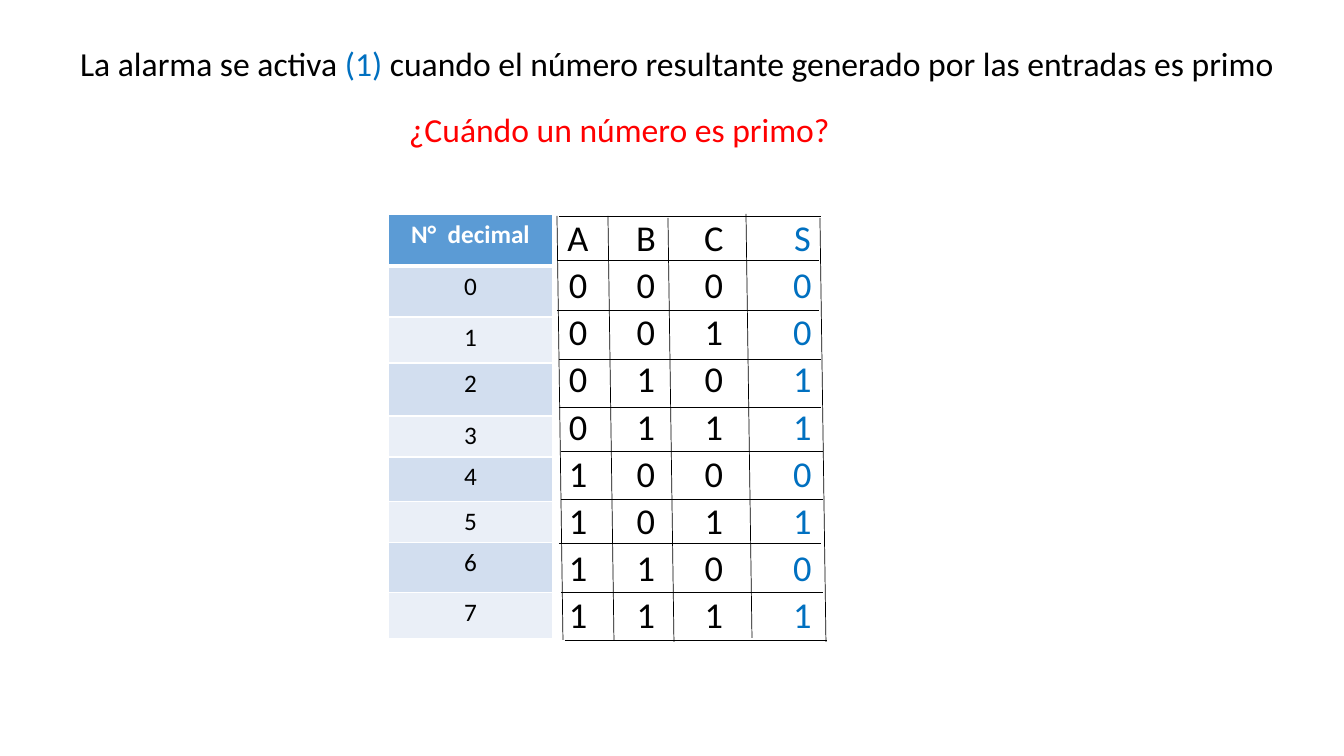
"""Build the slide with the truth table of the prime number alarm."""
from lxml.etree import SubElement
from pptx import Presentation
from pptx.dml.color import RGBColor
from pptx.enum.shapes import MSO_CONNECTOR as Connector
from pptx.enum.text import MSO_ANCHOR as Anchor, MSO_AUTO_SIZE as AutoSize, PP_ALIGN as Align
from pptx.oxml.ns import qn
from pptx.util import Emu, Pt

BLACK = RGBColor(0x00, 0x00, 0x00)
WHITE = RGBColor(0xFF, 0xFF, 0xFF)
RED = RGBColor(0xFF, 0x00, 0x00)
BLUE = RGBColor(0x00, 0x70, 0xC0)
HEADER = RGBColor(0x5B, 0x9B, 0xD5)
BAND_DARK = RGBColor(0xD2, 0xDE, 0xEF)
BAND_LIGHT = RGBColor(0xEA, 0xEF, 0xF7)

STATEMENT = [
    ("La alarma se activa ", BLACK),
    ("(1) ", BLUE),
    ("cuando el número resultante generado por las entradas es primo", BLACK),
]
QUESTION = [("¿Cuándo un número es primo?", RED)]
DECIMALS = ["N°  decimal", "0", "1", "2", "3", "4", "5", "6", "7"]
TRUTH = ["ABCS", "0000", "0010", "0101", "0111", "1000", "1011", "1100", "1111"]

TABLE_TOP, TABLE_HEIGHT = 214, 425
DECIMAL_LEFT, DECIMAL_WIDTH = 388, 165
DECIMAL_HEIGHTS = [52, 51, 46, 53, 41, 45, 41, 50, 46]
TRUTH_LEFT, TRUTH_WIDTHS = 544, [68, 68, 68, 109]
ROW_LINES = [(559, 216), (557, 260), (557, 310), (559, 359), (559, 407),
             (561, 451), (561, 499), (559, 543), (561, 592), (565, 640)]
COLUMN_LINES = [(557, 216), (608, 216), (668, 218), (746, 214), (820, 218)]
ROW_LINE_SPAN, COLUMN_LINE_SPAN = (262, 0), (6, 424)


def px(length):
    return Emu(round(length * 914400 / 100.8))


def write(frame, spans, size, align=Align.LEFT, bold=False):
    para = frame.paragraphs[0]
    para.alignment = align
    for text, color in spans:
        span = para.add_run()
        span.text = text
        span.font.name = "Calibri"
        span.font.size = Pt(size)
        span.font.bold = bold
        span.font.color.rgb = color


def place_heading(box, spans, left, top, width):
    box.left, box.top, box.width, box.height = px(left), px(top), px(width), px(50)
    frame = box.text_frame
    frame.word_wrap = False
    frame.auto_size = AutoSize.SHAPE_TO_FIT_TEXT
    frame.vertical_anchor = Anchor.TOP
    write(frame, spans, 24)


def add_borders(cell, top=1, bottom=1):
    properties = cell._tc.get_or_add_tcPr()
    for side, points in (("L", 1), ("R", 1), ("T", top), ("B", bottom)):
        border = SubElement(properties, qn(f"a:ln{side}"), w=str(Pt(points)))
        fill = SubElement(border, qn("a:solidFill"))
        SubElement(fill, qn("a:srgbClr"), val=str(WHITE))


def add_grid(page, left, widths, heights):
    frame = page.shapes.add_table(len(heights), len(widths), px(left), px(TABLE_TOP),
                                  px(sum(widths)), px(sum(heights)))
    table = frame.table
    table.first_row = table.horz_banding = False
    for column, width in zip(table.columns, widths):
        column.width = px(width)
    for row, height in zip(table.rows, heights):
        row.height = px(height)
    return table


def paint(cell, color):
    cell.fill.solid()
    cell.fill.fore_color.rgb = color


def add_truth_table(page):
    heights = [TABLE_HEIGHT / len(TRUTH)] * len(TRUTH)
    table = add_grid(page, TRUTH_LEFT, TRUTH_WIDTHS, heights)
    for row, values in enumerate(TRUTH):
        for column, value in enumerate(values):
            cell = table.cell(row, column)
            cell.margin_left = cell.margin_right = cell.margin_top = px(1)
            cell.margin_bottom = 0
            cell.vertical_anchor = Anchor.BOTTOM
            add_borders(cell)
            paint(cell, WHITE)
            color = BLUE if column == len(values) - 1 else BLACK
            write(cell.text_frame, [(value, color)], 26, align=Align.CENTER)


def add_decimal_table(page):
    table = add_grid(page, DECIMAL_LEFT, [DECIMAL_WIDTH], DECIMAL_HEIGHTS)
    for row, value in enumerate(DECIMALS):
        cell = table.cell(row, 0)
        header = row == 0
        add_borders(cell, top=3 if row == 1 else 1, bottom=3 if header else 1)
        paint(cell, HEADER if header else BAND_DARK if row % 2 else BAND_LIGHT)
        write(cell.text_frame, [(value, WHITE if header else BLACK)], 18,
              align=Align.CENTER, bold=header)


def add_lines(page, starts, span):
    for left, top in starts:
        line = page.shapes.add_connector(Connector.STRAIGHT, px(left), px(top),
                                         px(left + span[0]), px(top + span[1]))
        line.line.color.rgb = BLACK
        line.line.width = Pt(0.5)
        SubElement(line._element.spPr, qn("a:effectLst"))


def main():
    deck = Presentation()
    deck.slide_width, deck.slide_height = px(1344), px(756)
    page = deck.slides.add_slide(deck.slide_layouts[5])
    place_heading(page.shapes.title, STATEMENT, 70, 38, 1225)
    add_truth_table(page)
    add_lines(page, ROW_LINES, ROW_LINE_SPAN)
    add_lines(page, COLUMN_LINES, COLUMN_LINE_SPAN)
    place_heading(page.shapes.add_textbox(0, 0, 0, 0), QUESTION, 399, 104, 445)
    add_decimal_table(page)
    deck.save("out.pptx")


if __name__ == "__main__":
    main()
